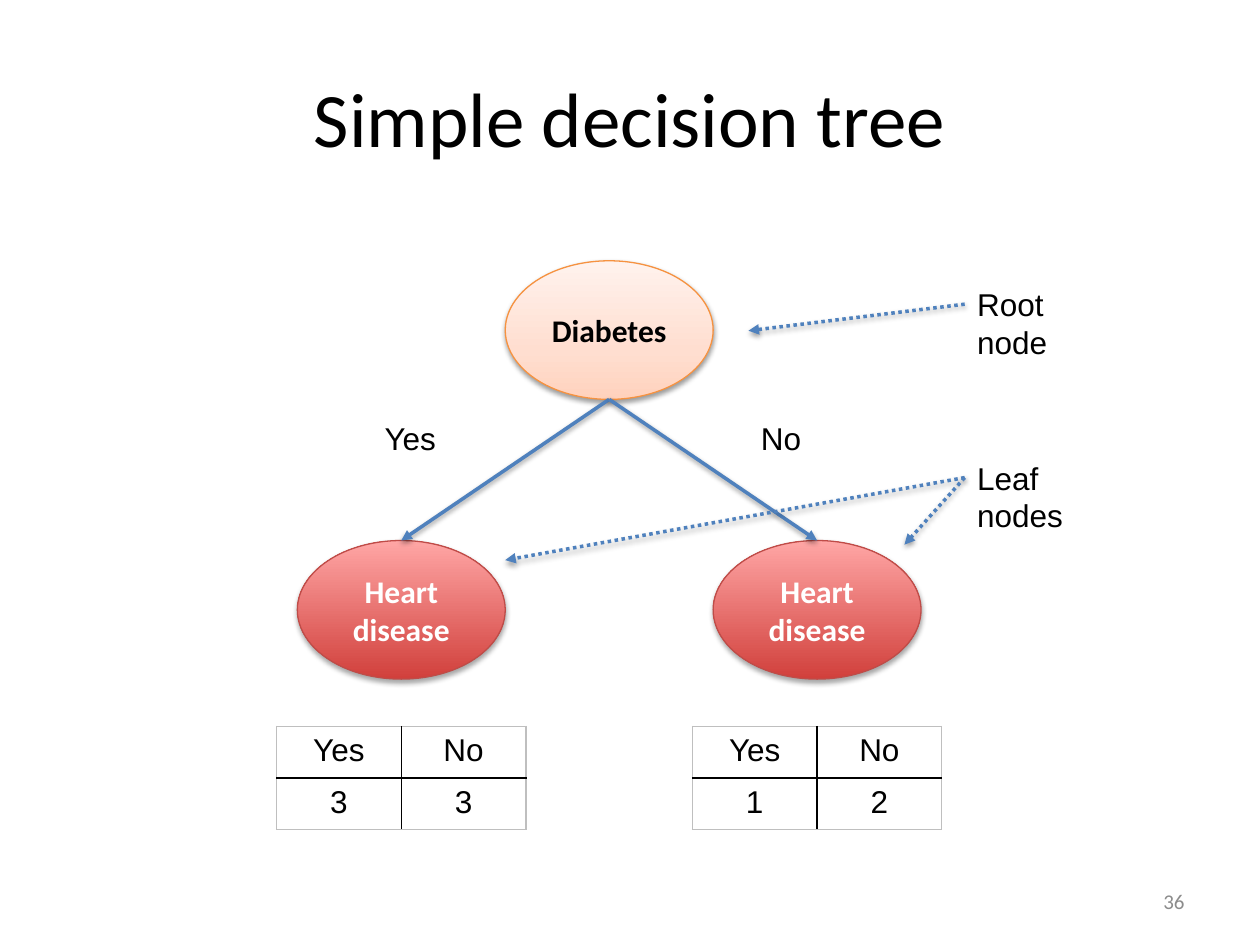
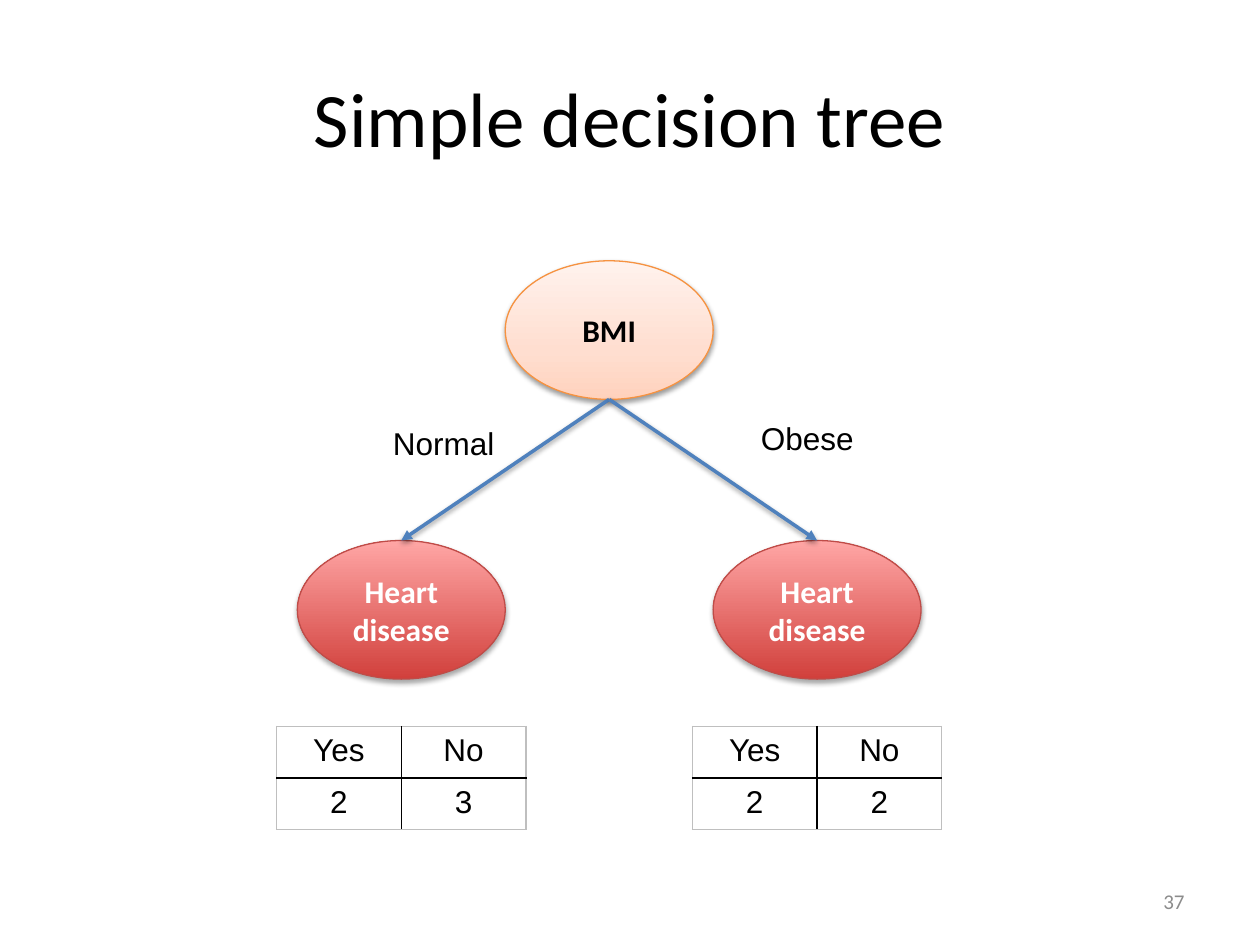
from dataclasses import dataclass

from lxml import etree
from pptx import Presentation
from pptx import util as u
from pptx.dml.color import RGBColor
from pptx.enum import dml, shapes, text
from pptx.oxml.ns import qn


@dataclass(frozen=True)
class NodeStyle:
    stops: tuple      # gradient stops, bottom to top: (percent, colour)
    line: str
    ink: str
    shadow: tuple     # opacity in percent, distance in points


@dataclass(frozen=True)
class Theme:
    heading: str = "Calibri"
    body: str = "Arial"
    title_size: int = 44
    text_size: int = 18
    number_size: int = 12
    ink: str = "000000"
    number: str = "8C8C8C"
    arrow: str = "4F81BD"
    frame: str = "BFBFBF"
    soft_shadow: tuple = (38, 1.6)
    root: NodeStyle = NodeStyle(
        ((0, "FFD2BD"), (35, "FFDED0"), (100, "FFF2ED")),
        "F69240", "000000", (38, 1.6))
    leaf: NodeStyle = NodeStyle(
        ((0, "D1403C"), (100, "FFA6A5")), "BF4C48", "FFFFFF", (35, 1.8))


T = Theme()

# Grid of the tree: one node per column, leaves two rows under the root
LEFT, TOP, COL, ROW = 2.36, 2.07, 1.65, 1.11
NODE_H, LABEL_H = 1.1, 0.4
CELL_W, CELL_H, TABLE_ROW = 0.99, 0.41, 3.33
ROOT_COL, LEAF_COLS, LEAF_ROW = 1, (0, 2), 2
NOTE_COL, NOTE_W = 3.21, 1.34


def x(col):
    return u.Inches(LEFT + COL * col)


def y(row):
    return u.Inches(TOP + ROW * row)


# Formatting helpers
def style(p, font, size, colour, align=None, bold=None):
    p.font.name, p.font.size, p.font.bold = font, u.Pt(size), bold
    p.font.color.rgb = RGBColor.from_string(colour)
    p.alignment = align


def add_xml(parent, tag, **attributes):
    return etree.SubElement(parent, qn(tag), attributes)


def add_shadow(s, opacity, distance):
    effects = add_xml(s._element.spPr, "a:effectLst")
    shadow = add_xml(effects, "a:outerShdw", blurRad=str(u.Pt(3.1)),
                     dist=str(u.Pt(distance)), dir="5400000", rotWithShape="0")
    colour = add_xml(shadow, "a:srgbClr", val="000000")
    add_xml(colour, "a:alpha", val=str(opacity * 1000))


def set_gradient(s, stops):
    s.fill.gradient()
    s.fill.gradient_angle = 90
    stop_list = s._element.spPr.find(".//" + qn("a:gsLst"))
    for old in list(stop_list):
        stop_list.remove(old)
    for percent, colour in stops:
        stop = add_xml(stop_list, "a:gs", pos=str(percent * 1000))
        add_xml(stop, "a:srgbClr", val=colour)


def set_border(cell, side, colour, width):
    ln = add_xml(cell._tc.get_or_add_tcPr(), "a:ln" + side, w=str(u.Pt(width)))
    add_xml(add_xml(ln, "a:solidFill"), "a:srgbClr", val=colour)


# Elements
def add_title(slide, words):
    s = slide.shapes.title
    s.left, s.top, s.width, s.height = map(u.Inches, (0.5, 0.3, 9, 1.25))
    s.text_frame.text = words
    s.text_frame.vertical_anchor = text.MSO_ANCHOR.MIDDLE
    style(s.text_frame.paragraphs[0], T.heading, T.title_size, T.ink,
          text.PP_ALIGN.CENTER)


def add_number(slide, number):
    s = slide.shapes.add_textbox(*map(u.Inches, (7.17, 6.95, 2.33, 0.4)))
    tf = s.text_frame
    tf.word_wrap, tf.vertical_anchor = True, text.MSO_ANCHOR.MIDDLE
    tf.text = str(number)
    style(tf.paragraphs[0], T.heading, T.number_size, T.number,
          text.PP_ALIGN.RIGHT)


def add_node(slide, col, row, words, look):
    s = slide.shapes.add_shape(shapes.MSO_SHAPE.OVAL, x(col), y(row),
                               u.Inches(COL), u.Inches(NODE_H))
    set_gradient(s, look.stops)
    s.line.color.rgb = RGBColor.from_string(look.line)
    s.line.width = u.Pt(0.75)
    add_shadow(s, *look.shadow)
    tf = s.text_frame
    tf.word_wrap, tf.vertical_anchor = True, text.MSO_ANCHOR.MIDDLE
    tf.text = words
    style(tf.paragraphs[0], T.heading, T.text_size, look.ink,
          text.PP_ALIGN.CENTER, True)
    return s


def add_label(slide, col, row, words, width):
    s = slide.shapes.add_textbox(x(col), y(row), u.Inches(width),
                                 u.Inches(LABEL_H))
    s.text_frame.word_wrap = True
    s.text_frame.text = words
    style(s.text_frame.paragraphs[0], T.body, T.text_size, T.ink)
    return s


def add_arrow(slide, start, end, dotted=False):
    s = slide.shapes.add_connector(shapes.MSO_CONNECTOR.STRAIGHT, *start, *end)
    s.line.color.rgb = RGBColor.from_string(T.arrow)
    s.line.width = u.Pt(2)
    if dotted:
        s.line.dash_style = dml.MSO_LINE.ROUND_DOT
        s._element.spPr.find(".//" + qn("a:prstDash")).set("val", "sysDot")
    add_xml(s.line._get_or_add_ln(), "a:tailEnd", type="triangle")
    add_shadow(s, *T.soft_shadow)
    return s


def add_counts(slide, col, counts):
    rows = (("Yes", "No"), counts)
    left = x(col + 0.5) - u.Inches(CELL_W)
    frame = slide.shapes.add_table(2, 2, left, y(TABLE_ROW),
                                   u.Inches(2 * CELL_W), u.Inches(2 * CELL_H))
    table = frame.table
    table.first_row = table.horz_banding = False
    for i, row in enumerate(rows):
        for j, value in enumerate(row):
            cell = table.cell(i, j)
            inner = {"R" if j == 0 else "L", "B" if i == 0 else "T"}
            for side in "LRTB":
                if side in inner:
                    set_border(cell, side, T.ink, 1)
                else:
                    set_border(cell, side, T.frame, 0.75)
            cell.fill.background()
            cell.text = str(value)
            style(cell.text_frame.paragraphs[0], T.body, T.text_size, T.ink,
                  text.PP_ALIGN.CENTER)


def add_note(slide, row, words, targets):
    s = add_label(slide, NOTE_COL, row, words, NOTE_W)
    start = s.left, s.top + u.Inches(LABEL_H / 2)
    for col, target_row in targets:
        add_arrow(slide, start, (x(col), y(target_row)), dotted=True)


# One slide: a root, two branches, two leaves with their counts
def add_tree(prs, number, root, labels, counts):
    slide = prs.slides.add_slide(prs.slide_layouts[5])
    add_title(slide, "Simple decision tree")
    add_number(slide, number)
    top = add_node(slide, ROOT_COL, 0, root, T.root)
    start = top.left + top.width // 2, top.top + top.height
    for col, pair in zip(LEAF_COLS, counts):
        leaf = add_node(slide, col, LEAF_ROW, "Heart disease", T.leaf)
        add_arrow(slide, start, (leaf.left + leaf.width // 2, leaf.top))
        add_counts(slide, col, pair)
    for label in labels:
        add_label(slide, *label)
    return slide


def main():
    prs = Presentation()
    prs.slide_width, prs.slide_height = u.Inches(10), u.Inches(7.5)

    slide = add_tree(prs, 36, "Diabetes",
                     ((0.36, 1.09, "Yes", 0.75), (2.17, 1.09, "No", 0.6)),
                     ((3, 3), (1, 2)))
    add_note(slide, 0.13, "Root node", [(2.17, 0.5)])
    add_note(slide, 1.37, "Leaf nodes", [(1, 2.14), (2.92, 2.03)])

    add_tree(prs, 37, "BMI",
             ((0.4, 1.12, "Normal", 1.04), (2.17, 1.09, "Obese", 0.97)),
             ((2, 3), (2, 2)))

    prs.save("out.pptx")


if __name__ == "__main__":
    main()
